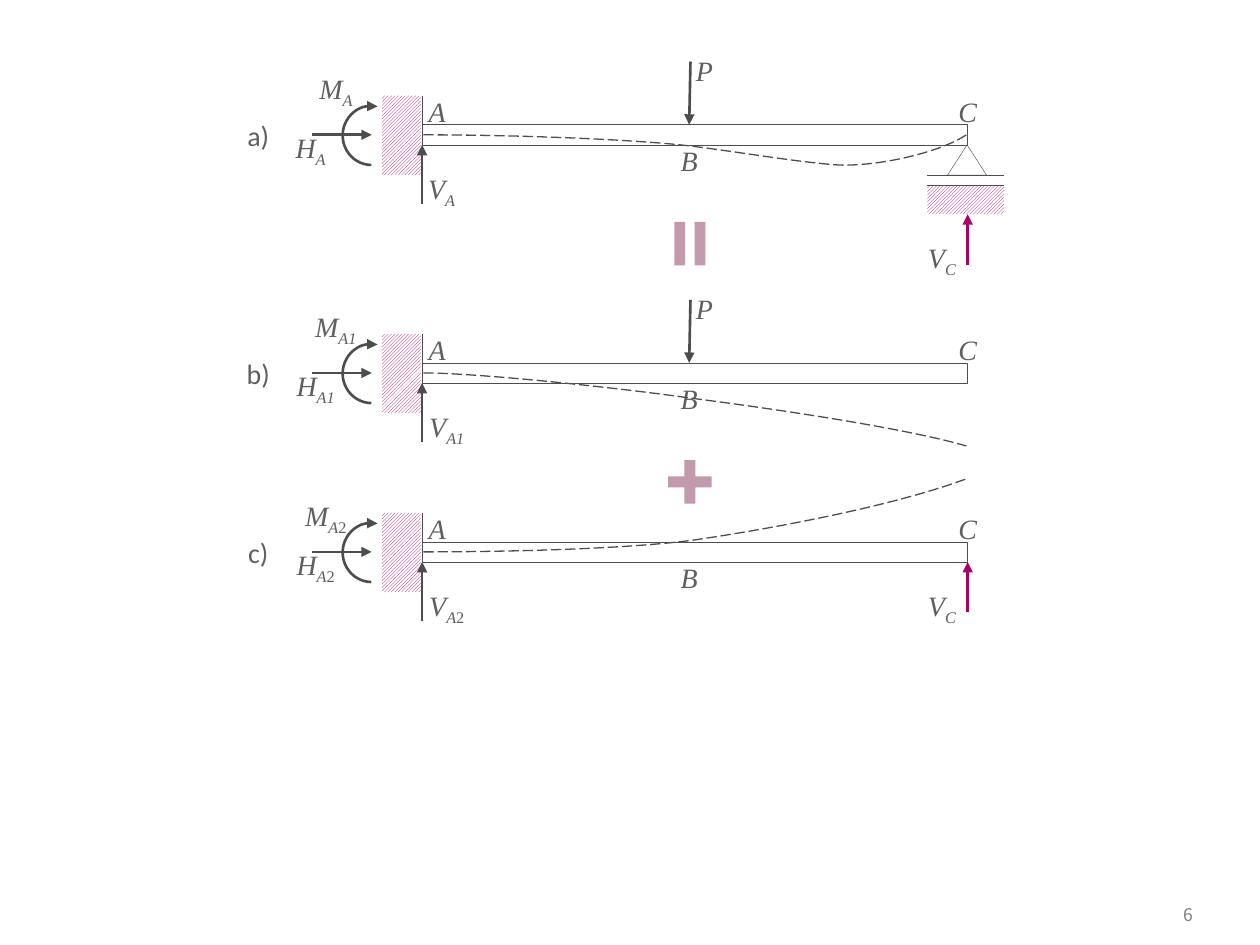
from lxml import etree
from pptx import Presentation
from pptx.dml.color import RGBColor
from pptx.enum.dml import MSO_LINE, MSO_PATTERN
from pptx.enum.shapes import MSO_CONNECTOR, MSO_SHAPE
from pptx.enum.text import MSO_ANCHOR, PP_ALIGN
from pptx.oxml.ns import qn
from pptx.util import Inches, Pt

STRAIGHT = MSO_CONNECTOR.STRAIGHT
RECT, TRIANGLE, ARC = MSO_SHAPE.RECTANGLE, MSO_SHAPE.ISOSCELES_TRIANGLE, MSO_SHAPE.ARC
EQUAL, PLUS = MSO_SHAPE.MATH_EQUAL, MSO_SHAPE.MATH_PLUS
HATCH = MSO_PATTERN.LIGHT_UPWARD_DIAGONAL
LONG_DASH = MSO_LINE.LONG_DASH
MIDDLE, CENTER, RIGHT = MSO_ANCHOR.MIDDLE, PP_ALIGN.CENTER, PP_ALIGN.RIGHT

INK, TEXT, ACCENT, WINE, WHITE, GREY = "4D4D4D", "5F5F5F", "A90165", "6B0131", "FFFFFF", "808080"
SERIF = "Times New Roman"
LEFT, SPAN, DEPTH = 3.35, 4.33, 0.16  # beam
HALF = DEPTH / 2


def rgb(value):
    return RGBColor.from_string(value)


def set_line(line, color, width):
    line.color.rgb = rgb(color)
    line.width = Pt(width)


def add_arrowhead(sp):
    """Put a triangle at the end of a line that is already formatted."""
    ln = sp.line._get_or_add_ln()
    etree.SubElement(ln, qn("a:tailEnd"), type="triangle")


def add_line(shapes, x1, y1, x2, y2, color=INK, width=0.25, arrow=False):
    sp = shapes.add_connector(STRAIGHT, Inches(x1), Inches(y1), Inches(x2), Inches(y2))
    set_line(sp.line, color, width)
    if arrow:
        add_arrowhead(sp)
    etree.SubElement(sp._element.spPr, qn("a:effectLst"))


def add_arrow(shapes, x1, y1, x2, y2, color=INK):
    add_line(shapes, x1, y1, x2, y2, color, 1.5, True)


def add_shape(shapes, kind, x, y, w, h, fill=None, line=None, width=0.25):
    sp = shapes.add_shape(kind, Inches(x), Inches(y), Inches(w), Inches(h))
    sp.shadow.inherit = False
    if fill:
        sp.fill.solid()
        sp.fill.fore_color.rgb = rgb(fill)
    else:
        sp.fill.background()
    if line:
        set_line(sp.line, line, width)
    else:
        sp.line.fill.background()
    return sp


def add_hatch(shapes, x, y, w, h):
    sp = add_shape(shapes, RECT, x, y, w, h)
    sp.fill.patterned()
    sp.fill.pattern = HATCH
    sp.fill.fore_color.rgb = rgb(ACCENT)
    sp.fill.back_color.rgb = rgb(WHITE)
    return sp


def add_label(shapes, x, y, w, text, sub="", upright="", h=0.24, font=SERIF,
              size=16, color=TEXT, align=CENTER):
    """Write a symbol with an italic and an upright part in its subscript."""
    tf = shapes.add_textbox(Inches(x), Inches(y), Inches(w), Inches(h)).text_frame
    tf.margin_left = tf.margin_right = tf.margin_top = tf.margin_bottom = 0
    tf.word_wrap = False
    tf.vertical_anchor = MIDDLE
    p = tf.paragraphs[0]
    p.alignment = align
    p.font.name, p.font.size, p.font.color.rgb = font, Pt(size), rgb(color)
    p.font.italic = font == SERIF
    p.add_run().text = text
    for part in filter(None, (sub, upright)):
        r = p.add_run()
        r.text = part
        r._r.get_or_add_rPr().set("baseline", "-25000")
    if upright:
        r.font.italic = False


def add_curve(shapes, x, y, points):
    """Draw a dashed Bezier curve: a start, then three points for each segment."""
    start, *rest = [(Inches(x + dx), Inches(y + dy)) for dx, dy in points]
    builder = shapes.build_freeform(*start)
    builder.add_line_segments(rest, close=False)
    sp = builder.convert_to_shape()
    sp.shadow.inherit = False
    sp.fill.background()
    set_line(sp.line, INK, 0.75)
    sp.line.dash_style = LONG_DASH
    steps = list(sp._element.iter(qn("a:lnTo")))
    for i in range(0, len(steps), 3):
        bezier = etree.Element(qn("a:cubicBezTo"))
        steps[i].addprevious(bezier)
        for step in steps[i:i + 3]:
            bezier.append(step[0])
            step.getparent().remove(step)


def add_fixed_end(shapes, x, y, sub, upright, moment_at):
    """Draw the wall at the left end with its three reactions."""
    wall = add_hatch(shapes, x - 0.48, y - 0.15, 0.63, 0.31)
    wall.rotation = 90
    add_line(shapes, x, y - 0.31, x, y + 0.32)
    add_arrow(shapes, x, y + 0.55, x, y + HALF)
    add_arrow(shapes, x - 0.87, y, x - 0.4, y)
    moment = add_shape(shapes, ARC, x - 0.63, y - 0.23, 0.46, 0.47, line=INK, width=1.5)
    moment.adjustments[0], moment.adjustments[1] = 162.37, 60.91
    xfrm = moment._element.spPr.find(qn("a:xfrm"))
    xfrm.set("flipH", "1")
    xfrm.set("flipV", "1")
    add_arrowhead(moment)
    w = 0.31 if len(sub + upright) == 1 else 0.39
    add_label(shapes, x + moment_at[0], y + moment_at[1], 0.39, "M", sub, upright)
    add_label(shapes, x - 1.04, y, w, "H", sub, upright)
    add_label(shapes, x, y + 0.32, w, "V", sub, upright)


def add_roller(shapes, x, y):
    """Draw a roller support whose tip is at (x, y)."""
    add_hatch(shapes, x - 0.32, y + 0.32, 0.61, 0.23)
    for dy in (0.24, 0.32):
        add_line(shapes, x - 0.32, y + dy, x + 0.29, y + dy)
    add_shape(shapes, TRIANGLE, x - 0.16, y, 0.31, 0.24, line=INK)


def add_beam(slide, x, y, tag, curve, sub, upright="", moment_at=(-0.88, -0.47),
             load=False, roller=False, reaction=None):
    """Draw one beam; (x, y) is the left end of its axis."""
    shapes = slide.shapes.add_group_shape().shapes
    end = x + SPAN
    add_shape(shapes, RECT, x, y - HALF, SPAN, DEPTH, WHITE, INK)
    add_label(shapes, x - 1.42, y - 0.15, 0.24, tag, h=0.31, font="Calibri")
    add_label(shapes, x, y - 0.31, 0.24, "A")
    add_label(shapes, x + 2.04, y + HALF, 0.16, "B")
    add_label(shapes, end - HALF, y - 0.31, 0.16, "C")
    if load:
        add_arrow(shapes, x + 2.13, y - 0.58, x + 2.12, y - HALF)
        add_label(shapes, x + 2.12, y - 0.63, 0.24, "P")
    add_curve(shapes, x, y, curve)
    if roller:
        add_roller(shapes, end, y + HALF)
    if reaction is not None:
        add_arrow(shapes, end, y + reaction + 0.4, end, y + reaction, ACCENT)
        add_label(shapes, end - 0.4, y + reaction + 0.24, 0.39, "V", "C")
    add_fixed_end(shapes, x, y, sub, upright, moment_at)


def add_operator(slide, kind, x, y, w, h, adjustments, rotation=0):
    sp = add_shape(slide.shapes, kind, x, y, w, h, WINE)
    sp.rotation = rotation
    for i, value in enumerate(adjustments):
        sp.adjustments[i] = value
    color = sp._element.spPr.find(qn("a:solidFill"))[0]
    etree.SubElement(color, qn("a:alpha"), val="40000")


def main():
    prs = Presentation()
    prs.slide_width, prs.slide_height = Inches(10), Inches(7.5)
    slide = prs.slides.add_slide(prs.slide_layouts[6])

    add_operator(slide, EQUAL, 5.24, 1.62, 0.47, 0.63, (0.136, 0.118), 90)
    add_operator(slide, PLUS, 5.24, 3.59, 0.47, 0.47, (0.185,))

    propped = [(0.01, 0), (0.81, 0), (1.73, 0.04), (2.14, 0.09), (2.54, 0.14), (3, 0.22),
               (3.31, 0.24), (3.63, 0.25), (4.11, 0.14), (4.32, 0)]
    sagging = [(0.01, 0), (0.45, 0), (1.57, 0.12), (2.13, 0.2), (2.68, 0.27), (3.81, 0.43),
               (4.32, 0.58)]
    lifted = [(0.01, 0), (0.65, 0), (1.57, -0.02), (2.13, -0.09), (2.69, -0.17), (3.7, -0.35),
              (4.32, -0.58)]
    add_beam(slide, LEFT, 1.07, "a)", propped, "A", load=True, roller=True, reaction=0.63)
    add_beam(slide, LEFT, 2.96, "b)", sagging, "A1", load=True)
    add_beam(slide, LEFT, 4.38, "c)", lifted, "A", "2", (-0.96, -0.39), reaction=HALF)

    add_label(slide.shapes, 8.86, 7.09, 0.61, "6", h=0.33, font="Noto Sans CJK KR",
              size=10, color=GREY, align=RIGHT)
    prs.save("out.pptx")


if __name__ == "__main__":
    main()
